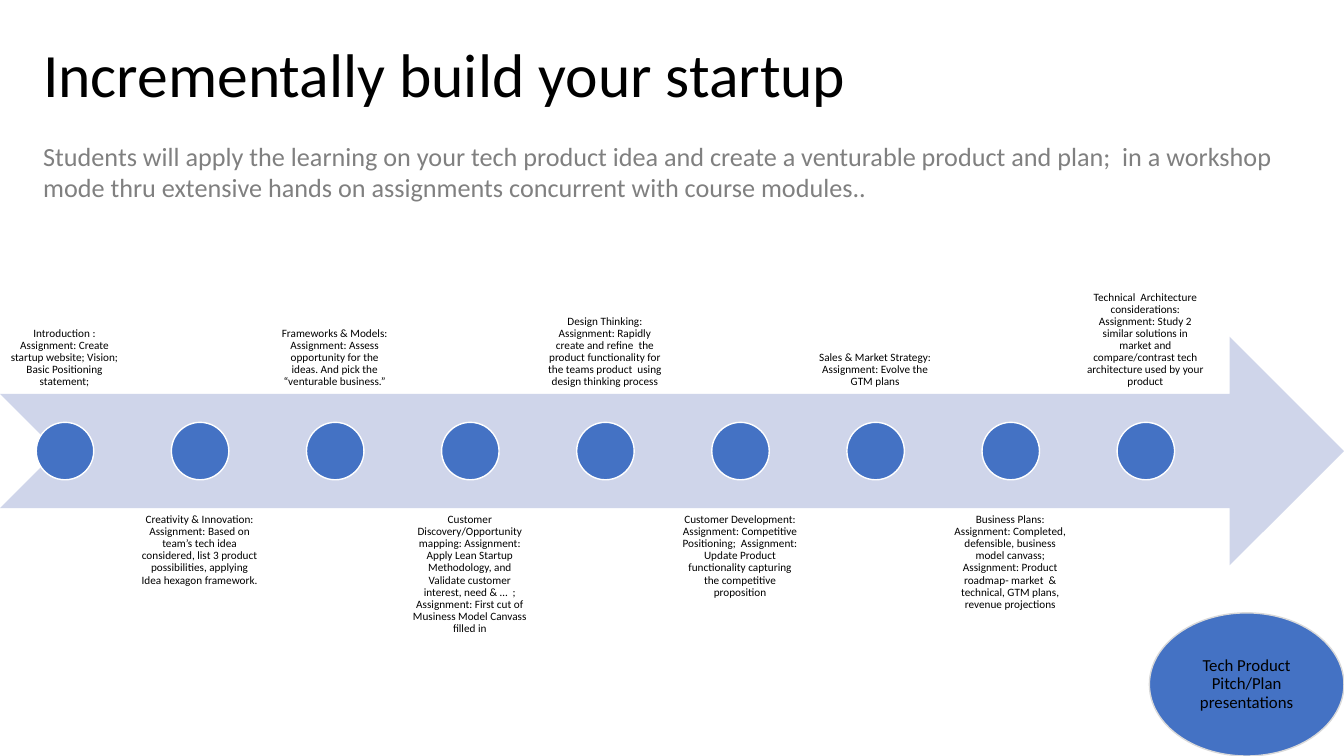
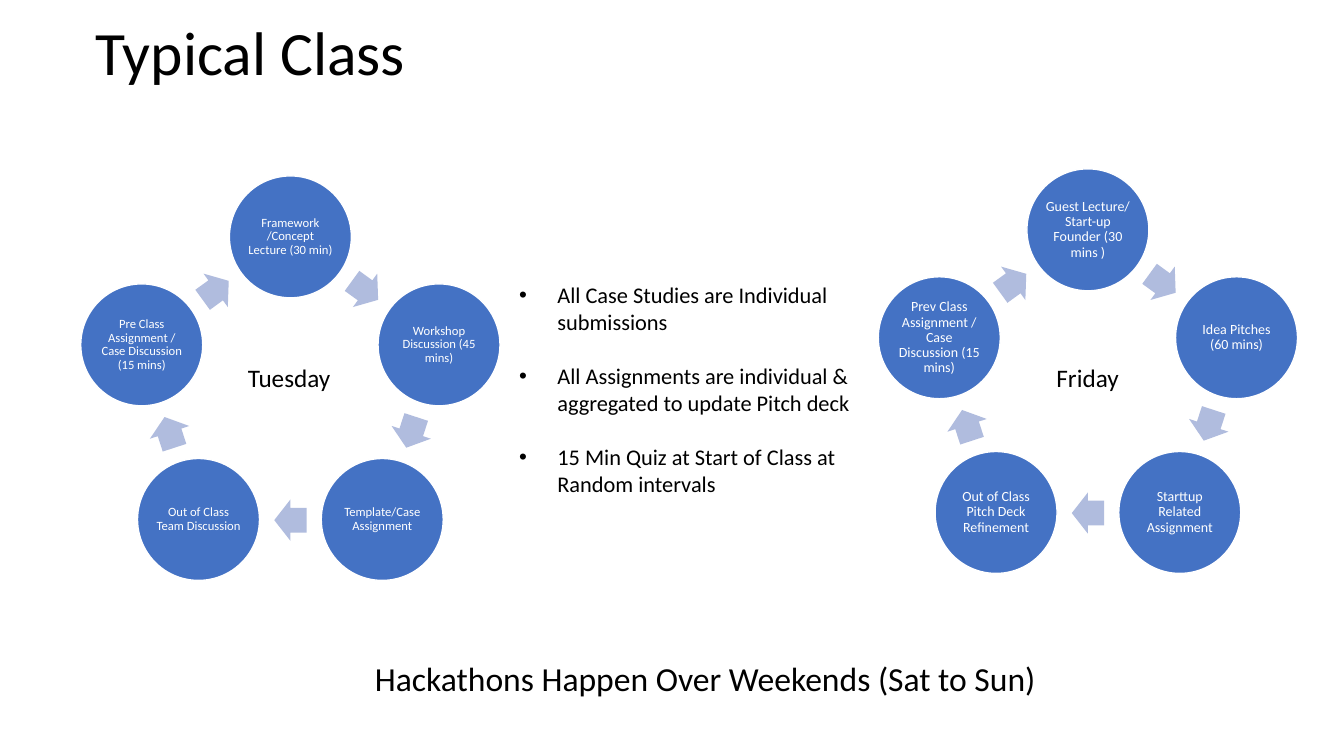
import math
from lxml import etree
from pptx import Presentation
from pptx.dml.color import RGBColor
from pptx.enum.shapes import MSO_SHAPE
from pptx.enum.text import MSO_ANCHOR, PP_ALIGN
from pptx.oxml.ns import qn
from pptx.util import Inches, Pt

OVAL, ARROW = MSO_SHAPE.OVAL, MSO_SHAPE.RIGHT_ARROW
NOTCHED_ARROW = MSO_SHAPE.NOTCHED_RIGHT_ARROW
LEFT, CENTER = PP_ALIGN.LEFT, PP_ALIGN.CENTER
TOP, MIDDLE, BOTTOM = MSO_ANCHOR.TOP, MSO_ANCHOR.MIDDLE, MSO_ANCHOR.BOTTOM

FONT = "Calibri"
COLORS = {
    "text": "000000", "subtitle": "808080", "white": "FFFFFF",
    "blue": "4472C4", "band": "CFD5EA", "arrow": "B0BCDE", "edge": "D9D9D9",
}

prs = Presentation()
prs.slide_width, prs.slide_height = Inches(13.33), Inches(7.5)
blank = prs.slide_layouts[6]


def add_shape(s, kind, x, y, w, h, fill, line=None):
    sp = s.shapes.add_shape(kind, Inches(x), Inches(y), Inches(w), Inches(h))
    sp.shadow.inherit = False
    sp.fill.solid()
    sp.fill.fore_color.rgb = RGBColor.from_string(COLORS[fill])
    if line:
        sp.line.color.rgb = RGBColor.from_string(COLORS[line])
        sp.line.width = Pt(1)
    else:
        sp.line.fill.background()
    return sp


def add_text(s, box, lines, size, color="text", align=LEFT, anchor=TOP,
             inset=(0.1, 0.05), spacing=1.0, wrap=True):
    """Write lines into a shape, or into a new text box at (x, y, w, h)."""
    if isinstance(box, tuple):
        box = s.shapes.add_textbox(*[Inches(v) for v in box])
    tf = box.text_frame
    tf.word_wrap, tf.vertical_anchor = wrap, anchor
    tf.margin_left = tf.margin_right = Inches(inset[0])
    tf.margin_top = tf.margin_bottom = Inches(inset[1])
    tf.text = "\n".join(lines)
    for p in tf.paragraphs:
        p.alignment, p.line_spacing = align, spacing
        p.font.name, p.font.size = FONT, Pt(size)
        p.font.color.rgb = RGBColor.from_string(COLORS[color])
    return tf


# Slides and titles
titles = [("Incrementally build your startup", 0.33, 0.04), ("Typical Class", 0.85, -0.17)]
for title, x, y in titles:
    s = prs.slides.add_slide(blank)
    add_text(s, (x, y, 11.5, 1.45), [title], 44, anchor=MIDDLE, spacing=0.9)
timeline, week = prs.slides

# Slide 1: timeline with labels alternating above and below the band
steps = [
    "Introduction : Assignment: Create startup website; Vision; Basic Positioning statement;",
    "Creativity & Innovation: Assignment: Based on team’s tech idea considered, "
    "list 3 product possibilities, applying Idea hexagon framework.",
    "Frameworks & Models: Assignment: Assess opportunity for the ideas. "
    "And pick the “venturable business.”",
    "Customer Discovery/Opportunity mapping: Assignment: Apply Lean Startup Methodology, "
    "and Validate customer interest, need & …  ; "
    "Assignment: First cut of Musiness Model Canvass filled in",
    "Design Thinking: Assignment: Rapidly create and refine  the product functionality "
    "for the teams product  using design thinking process",
    "Customer Development: Assignment: Competitive Positioning;  "
    "Assignment: Update Product functionality capturing the competitive proposition",
    "Sales & Market Strategy: Assignment: Evolve the GTM plans",
    "Business Plans: Assignment: Completed, defensible, business model canvass; "
    "Assignment: Product roadmap- market  & technical, GTM plans, revenue projections",
    "Technical  Architecture considerations: Assignment: Study 2 similar solutions in market "
    "and compare/contrast tech architecture used by your product",
]
add_shape(timeline, NOTCHED_ARROW, 0, 3.34, 13.33, 2.27, "band")
for i, step in enumerate(steps):
    x = 1.34 * i
    y, anchor = (5.04, TOP) if i % 2 else (1.64, BOTTOM)
    add_text(timeline, (x, y, 1.28, 2.27), [step], 8, align=CENTER, anchor=anchor,
             inset=(0.06, 0.06), spacing=0.9)
    add_shape(timeline, OVAL, x + 0.36, 4.19, 0.57, 0.57, "blue", "white")

add_text(timeline, (0.33, 1.34, 12.44, 1.04), [
    "Students will apply the learning on your tech product idea and create a venturable "
    "product and plan;  in a workshop mode thru extensive hands on assignments concurrent "
    "with course modules.."], 18.7, "subtitle")
pitch = add_shape(timeline, OVAL, 11.4, 6.08, 1.93, 1.42, "blue", "edge")
add_text(timeline, pitch, ["Tech Product Pitch/Plan presentations"], 12, align=CENTER,
         anchor=MIDDLE, inset=(0.13, 0.07), spacing=0.9)

# Slide 2: two cycles, clockwise from the top
cycles = [
    (2.88, 3.9, 9, [
        "Framework /Concept Lecture (30 min)", "Workshop Discussion (45 mins)",
        "Template/Case Assignment", "Out of Class Team Discussion",
        "Pre Class Assignment / Case Discussion (15 mins)"]),
    (10.79, 3.83, 10, [
        "Guest Lecture/ Start-up Founder (30 mins )", "Idea Pitches (60 mins)",
        "Starttup Related Assignment", "Out of Class Pitch Deck Refinement",
        "Prev Class Assignment / Case Discussion (15 mins)"]),
]
NODE, NODE_RADIUS, ARROW_RADIUS = 1.21, 1.55, 1.26
ARROW_W, ARROW_H = 0.32, 0.41
for cx, cy, size, nodes in cycles:
    turn = 360 / len(nodes)
    for i, node in enumerate(nodes):
        a = math.radians(turn * i)
        x, y = cx + NODE_RADIUS * math.sin(a), cy - NODE_RADIUS * math.cos(a)
        sp = add_shape(week, OVAL, x - NODE / 2, y - NODE / 2, NODE, NODE, "blue", "white")
        add_text(week, sp, [node], size, "white", CENTER, MIDDLE, (0.01, 0.01), 0.9)

        heading = turn * (i + 0.5)
        a = math.radians(heading)
        x, y = cx + ARROW_RADIUS * math.sin(a), cy - ARROW_RADIUS * math.cos(a)
        sp = add_shape(week, ARROW, x - ARROW_W / 2, y - ARROW_H / 2, ARROW_W, ARROW_H, "arrow")
        sp.adjustments[0], sp.adjustments[1] = 0.6, 0.5
        sp.rotation = heading

# Day names and closing line
for text, size, box in [
    ("Tuesday", 18, (2.36, 3.55, 1.03, 0.4)),
    ("Friday", 18, (10.38, 3.55, 0.83, 0.4)),
    ("Hackathons Happen Over Weekends (Sat to Sun)", 24, (3.62, 6.48, 6.82, 0.5)),
]:
    add_text(week, box, [text], size, wrap=False)

# Bulleted rules
tf = add_text(week, (5.05, 2.74, 3.55, 2.26), [
    "All Case Studies are Individual submissions",
    "All Assignments are individual & aggregated to update Pitch deck",
    "15 Min Quiz at Start of Class at Random intervals"], 16)
for i, p in enumerate(tf.paragraphs):
    p.space_before = Pt(19.5 if i else 0)
    pPr = p._p.get_or_add_pPr()
    pPr.set("marL", str(Inches(0.38)))
    pPr.set("indent", str(-Inches(0.38)))
    bullet_font = etree.Element(qn("a:buFont"), typeface="Arial")
    bullet = etree.Element(qn("a:buChar"), char="•")
    pPr.find(qn("a:defRPr")).addprevious(bullet_font)
    bullet_font.addnext(bullet)

prs.save("out.pptx")
